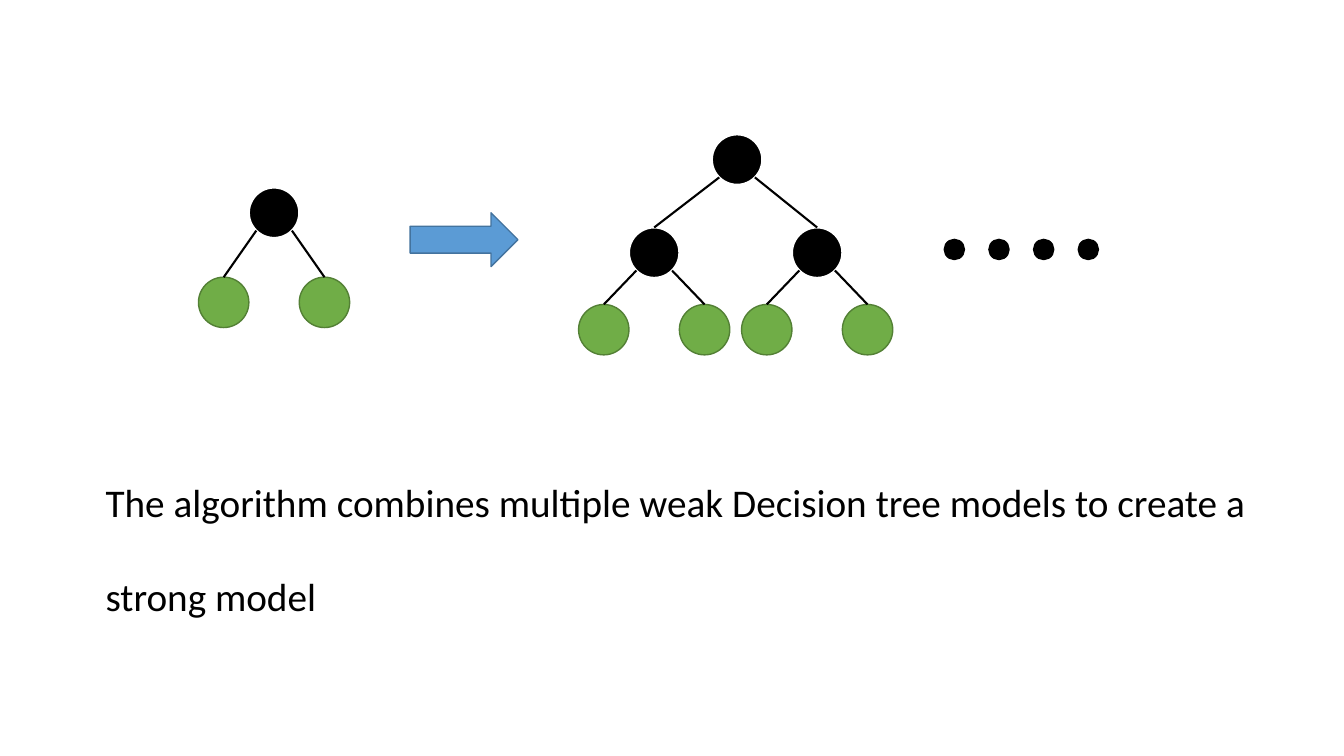
from math import sqrt

from lxml import etree
from pptx import Presentation
from pptx.dml.color import RGBColor
from pptx.enum import shapes, text
from pptx.oxml import ns
from pptx.util import Pt

BLACK = RGBColor(0x00, 0x00, 0x00)
WHITE = RGBColor(0xFF, 0xFF, 0xFF)
GREEN = RGBColor(0x70, 0xAD, 0x47)
DARK_GREEN = RGBColor(0x53, 0x80, 0x35)
BLUE = RGBColor(0x5B, 0x9B, 0xD5)
DARK_BLUE = RGBColor(0x43, 0x73, 0x9E)

NODE_SIZE = 36
RADIUS = NODE_SIZE / 2
LEAF_OFFSET = 36
CIRCLE = shapes.MSO_SHAPE.FLOWCHART_CONNECTOR
ARROW = shapes.MSO_SHAPE.RIGHT_ARROW


def add_figure(slide, kind, left, top, width, height, fill, line, line_width=1):
    """Add a filled and outlined preset shape."""
    shape = slide.shapes.add_shape(kind, Pt(left), Pt(top), Pt(width), Pt(height))
    shape.shadow.inherit = False
    shape.fill.solid()
    shape.fill.fore_color.rgb = fill
    shape.line.color.rgb = line
    shape.line.width = Pt(line_width)


def add_decision(slide, x, y):
    """Add a black decision node centred on a point."""
    add_figure(slide, CIRCLE, x - RADIUS, y - RADIUS, NODE_SIZE, NODE_SIZE, BLACK, WHITE, 1.5)


def add_leaf(slide, x, y):
    """Add a green leaf node centred on a point."""
    add_figure(slide, CIRCLE, x - RADIUS, y - RADIUS, NODE_SIZE, NODE_SIZE, GREEN, DARK_GREEN)


def add_branch(slide, parent_x, parent_y, child_x, child_y):
    """Join the lower diagonal of a parent node to the top of its child."""
    diagonal = RADIUS / sqrt(2)
    side = diagonal if child_x > parent_x else -diagonal
    connector = slide.shapes.add_connector(
        shapes.MSO_CONNECTOR.STRAIGHT,
        Pt(parent_x + side), Pt(parent_y + diagonal), Pt(child_x), Pt(child_y - RADIUS))
    connector.line.color.rgb = BLACK
    connector.line.width = Pt(1.5)
    etree.SubElement(connector._element.spPr, ns.qn("a:effectLst"))


def add_stump(slide, x, y, leaf_y):
    """Add a decision node with two leaves."""
    add_decision(slide, x, y)
    for leaf_x in (x - LEAF_OFFSET, x + LEAF_OFFSET):
        add_leaf(slide, leaf_x, leaf_y)
        add_branch(slide, x, y, leaf_x, leaf_y)


def add_deep_tree(slide, x, y, child_xs, child_y, leaf_y):
    """Add a decision node with a stump under each branch."""
    add_decision(slide, x, y)
    for child_x in child_xs:
        add_stump(slide, child_x, child_y, leaf_y)
        add_branch(slide, x, y, child_x, child_y)


def add_ellipsis(slide, left, top, size, step, count):
    """Add a row of evenly spaced black dots."""
    for index in range(count):
        add_figure(slide, CIRCLE, left + index * step, top, size, size, BLACK, BLACK)


def add_statement(slide, left, top, width, height, statement):
    """Add a justified, double-spaced statement."""
    frame = slide.shapes.add_textbox(Pt(left), Pt(top), Pt(width), Pt(height)).text_frame
    frame.word_wrap = True
    paragraph = frame.paragraphs[0]
    paragraph.text = statement
    paragraph.alignment = text.PP_ALIGN.JUSTIFY
    paragraph.line_spacing = 2.0
    paragraph.space_before = Pt(10)
    paragraph.font.name = "Calibri"
    paragraph.font.size = Pt(28)
    paragraph.font.color.rgb = BLACK


def main():
    """Build the slide and save it."""
    presentation = Presentation()
    presentation.slide_width = Pt(960)
    presentation.slide_height = Pt(540)
    slide = presentation.slides.add_slide(presentation.slide_layouts[6])

    add_statement(slide, 68.4, 304.5, 828, 205,
                  "The algorithm combines multiple weak Decision tree models to create a strong model")
    add_stump(slide, 195.8, 152, 216)
    add_figure(slide, ARROW, 293, 152, 77, 38.4, BLUE, DARK_BLUE)
    add_deep_tree(slide, 526.5, 114, (467.3, 583.7), 180.5, 235.5)
    add_ellipsis(slide, 674.5, 171, 14.4, 31.9, 4)

    presentation.save("out.pptx")


if __name__ == "__main__":
    main()
